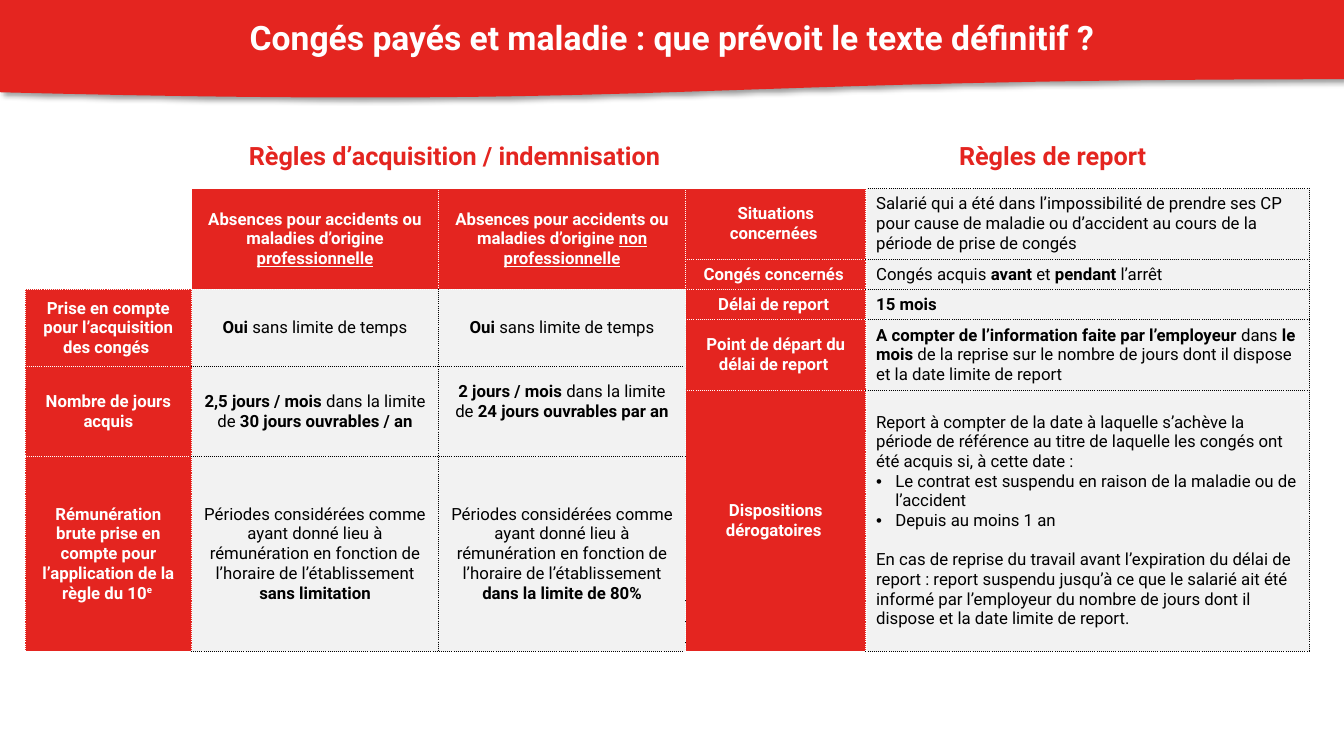
from dataclasses import dataclass

from lxml import etree
from pptx import Presentation
from pptx.dml.color import RGBColor
from pptx.enum.shapes import MSO_SHAPE
from pptx.enum.text import MSO_ANCHOR, MSO_AUTO_SIZE, PP_ALIGN
from pptx.oxml import parse_xml
from pptx.oxml.ns import nsdecls, qn
from pptx.util import Inches, Pt

DOCUMENT = MSO_SHAPE.FLOWCHART_DOCUMENT
LEFT, CENTER = PP_ALIGN.LEFT, PP_ALIGN.CENTER
TOP, MIDDLE = MSO_ANCHOR.TOP, MSO_ANCHOR.MIDDLE
NO_AUTOFIT = MSO_AUTO_SIZE.NONE
TITLE_ONLY = 5


@dataclass(frozen=True)
class Theme:
    """Colours, font and type sizes of the slide."""
    red: str = "E42520"
    gray: str = "F2F2F2"
    white: str = "FFFFFF"
    black: str = "000000"
    font: str = "Roboto"
    title_size: int = 24
    section_size: int = 18
    cell_size: int = 12


THEME = Theme()

ACQUISITION_COLUMNS = [1.65, 2.45, 2.45]
ACQUISITION_HEIGHTS = [1, 0.77, 0.89, 1.93]
PERIODS = ("Périodes considérées comme ayant donné lieu à rémunération "
           "en fonction de l’horaire de l’établissement ")
ACQUISITION_ROWS = [
    ["",
     "Absences pour accidents ou maladies d’origine _professionnelle_",
     "Absences pour accidents ou maladies d’origine _non professionnelle_"],
    ["Prise en compte pour l’acquisition des congés ",
     "*Oui *sans limite de temps",
     "*Oui* sans limite de temps"],
    ["Nombre de jours acquis",
     "*2,5 jours / mois *dans la limite de *30 jours ouvrables / an*",
     "*2 jours / mois *dans la limite de *24 jours ouvrables par an*"],
    ["Rémunération brute prise en compte pour l’application de la règle du 10^e ^",
     PERIODS + "*sans limitation*",
     PERIODS + "*dans la limite de 80%*"],
]

CARRYOVER_COLUMNS = [1.79, 4.4]
CARRYOVER_HEIGHTS = [0.69, 0.3, 0.3, 0.69, 2.59]
EXCEPTIONS = [
    ("Report à compter de la date à laquelle s’achève la période de référence au titre "
     "de laquelle les congés ont été acquis si, à cette date :", {}),
    ("Le contrat est suspendu en raison de la maladie ou de l’accident", {"bullet": True}),
    ("Depuis au moins 1 an", {"bullet": True}),
    ("En cas de reprise du travail avant l’expiration du délai de report : report suspendu "
     "jusqu’à ce que le salarié ait été informé par l’employeur du nombre de jours dont il "
     "dispose et la date limite de report.", {"space_before": 14}),
]
CARRYOVER_ROWS = [
    ["Situations concernées ",
     "Salarié qui a été dans l’impossibilité de prendre ses CP pour cause de maladie ou "
     "d’accident au cours de la période de prise de congés"],
    ["Congés concernés ", "Congés acquis *avant* et *pendant *l’arrêt"],
    ["Délai de report ", "*15 mois*"],
    ["Point de départ du délai de report ",
     "*A compter de l’information faite par l’employeur *dans *le mois *de la reprise sur "
     "le nombre de jours dont il dispose et la date limite de report"],
    ["Dispositions dérogatoires ", EXCEPTIONS],
]


def write_text(paragraph, text, *, size, color, bold=False, align=LEFT,
               bullet=False, space_before=0):
    """Write text where * toggles bold, _ underline and ^ superscript."""
    paragraph.alignment = align
    paragraph.space_before = Pt(space_before)
    if bullet:
        properties = paragraph._p.get_or_add_pPr()
        properties.set("marL", str(Inches(0.19)))
        properties.set("indent", str(-Inches(0.19)))
        etree.SubElement(properties, qn("a:buFont")).set("typeface", "Arial")
        etree.SubElement(properties, qn("a:buChar")).set("char", "•")
    pieces = [(piece, strong % 2, underlined % 2, raised % 2)
              for strong, chunk in enumerate(text.split("*"))
              for underlined, part in enumerate(chunk.split("_"))
              for raised, piece in enumerate(part.split("^")) if piece]
    for piece, strong, underlined, raised in pieces:
        run = paragraph.add_run()
        run.text = piece
        font = run.font
        font.name, font.size = THEME.font, Pt(size)
        font.bold, font.underline = bold or bool(strong), bool(underlined)
        font.color.rgb = RGBColor.from_string(color)
        if raised:
            run._r.get_or_add_rPr().set("baseline", "30000")


def add_borders(cell, colors):
    """Give a cell dotted borders in left, right, top, bottom order."""
    properties = cell._tc.get_or_add_tcPr()
    for side, color in zip("LRTB", colors):
        properties.append(parse_xml(
            f'<a:ln{side} {nsdecls("a")} w="12700"><a:solidFill><a:srgbClr val="{color}"/>'
            f'</a:solidFill><a:prstDash val="sysDot"/></a:ln{side}>'))


def fill_cell(cell, content, *, heading, borders, align):
    """Fill, frame and write one table cell."""
    add_borders(cell, borders)
    background = THEME.gray if not heading else THEME.red if content else THEME.white
    cell.fill.solid()
    cell.fill.fore_color.rgb = RGBColor.from_string(background)
    cell.vertical_anchor = MIDDLE
    paragraphs = [(content, {})] if isinstance(content, str) else content
    for index, (text, options) in enumerate(paragraphs):
        frame = cell.text_frame
        paragraph = frame.add_paragraph() if index else frame.paragraphs[0]
        write_text(paragraph, text, size=THEME.cell_size, bold=heading, align=align,
                   color=THEME.white if heading else THEME.black, **options)


def add_rules_table(slide, left, top, columns, heights, rows, *, header_rows, body_align):
    """Place a table with a red heading column and optional red heading rows."""
    frame = slide.shapes.add_table(len(rows), len(columns), Inches(left), Inches(top),
                                   Inches(sum(columns)), Inches(sum(heights)))
    table = frame.table
    table.first_row = table.horz_banding = False
    for column, width in zip(table.columns, columns):
        column.width = Inches(width)
    for row, height in zip(table.rows, heights):
        row.height = Inches(height)
    for row_index, row in enumerate(rows):
        for column_index, content in enumerate(row):
            heading = column_index == 0 or row_index < header_rows
            outer = THEME.white if heading else THEME.black
            left_color = THEME.white if column_index == 1 else outer
            under_header = header_rows and row_index == header_rows
            top_color = THEME.white if under_header else outer
            fill_cell(table.cell(row_index, column_index), content, heading=heading,
                      borders=(left_color, outer, top_color, outer),
                      align=CENTER if heading else body_align)
    return table


def add_section_title(slide, left, top, width, text, align):
    """Place a red section title above a table."""
    box = slide.shapes.add_textbox(Inches(left), Inches(top), Inches(width), Inches(0.4))
    box.text_frame.word_wrap = True
    write_text(box.text_frame.paragraphs[0], text, size=THEME.section_size,
               color=THEME.red, bold=True, align=align)


def add_banner(slide, width, height, text):
    """Place the waved red banner and the slide title on it."""
    band = slide.shapes.add_shape(DOCUMENT, 0, 0, Inches(width), Inches(height))
    band.fill.solid()
    band.fill.fore_color.rgb = RGBColor.from_string(THEME.red)
    band.line.fill.background()
    band._element.spPr.append(parse_xml(
        f'<a:effectLst {nsdecls("a")}><a:outerShdw blurRad="50800" dist="38100" dir="2700000" '
        f'algn="tl" rotWithShape="0"><a:srgbClr val="{THEME.black}"><a:alpha val="40000"/>'
        '</a:srgbClr></a:outerShdw></a:effectLst>'))
    title = slide.shapes.title
    title.left, title.top = Inches(0), Inches(0.12)
    title.width, title.height = Inches(width), Inches(0.5)
    frame = title.text_frame
    frame.auto_size, frame.vertical_anchor, frame.word_wrap = NO_AUTOFIT, TOP, True
    write_text(frame.paragraphs[0], text, size=THEME.title_size, color=THEME.white,
               bold=True, align=CENTER)
    band._element.addnext(title._element)


def main():
    """Build and save the slide."""
    presentation = Presentation()
    presentation.slide_width, presentation.slide_height = Inches(13.33), Inches(7.5)
    slide = presentation.slides.add_slide(presentation.slide_layouts[TITLE_ONLY])
    add_banner(slide, 13.33, 0.98, "Congés payés et maladie : que prévoit le texte définitif ?")
    add_section_title(slide, 2.37, 1.34, 4.8, "Règles d’acquisition / indemnisation", LEFT)
    add_section_title(slide, 8.57, 1.34, 3.74, "Règles de report", CENTER)
    acquisition = add_rules_table(slide, 0.25, 1.87, ACQUISITION_COLUMNS, ACQUISITION_HEIGHTS,
                                  ACQUISITION_ROWS, header_rows=1, body_align=CENTER)
    acquisition.cell(2, 2).margin_bottom = Inches(0.25)
    add_rules_table(slide, 6.8, 1.87, CARRYOVER_COLUMNS, CARRYOVER_HEIGHTS,
                    CARRYOVER_ROWS, header_rows=0, body_align=LEFT)
    presentation.save("out.pptx")


if __name__ == "__main__":
    main()
